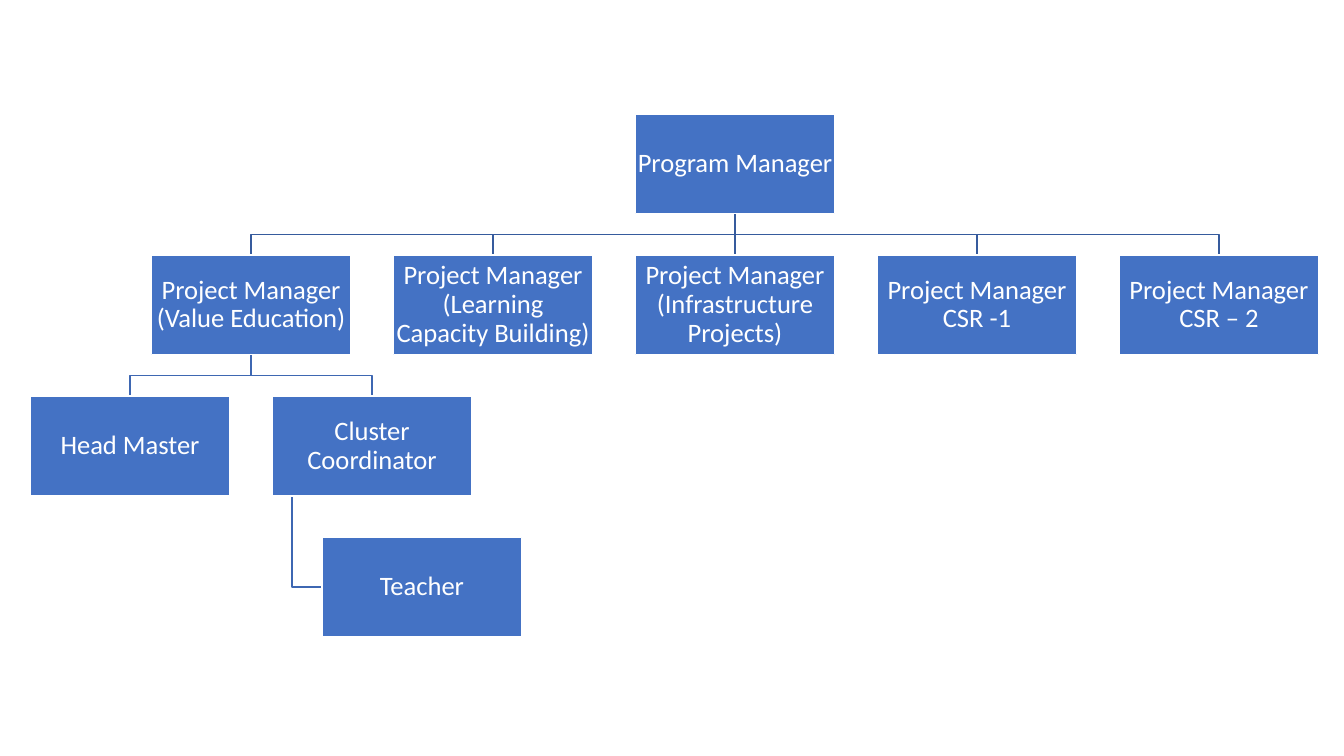
from pptx import Presentation
from pptx.dml.color import RGBColor
from pptx.enum.shapes import MSO_SHAPE
from pptx.enum.text import MSO_ANCHOR, PP_ALIGN
from pptx.util import Inches, Pt

HUES = {"box": "4472C4", "edge": "FFFFFF", "text": "FFFFFF",
        "top": "365B9D", "low": "3E67B2"}
WIDE, HIGH = 1.98, 0.99
LEFT, TOP = 0.3, 1.13
HALF, STEP = 1.2, 1.4


def hue(name):
    return RGBColor.from_string(HUES[name])


def write(frame, text, font="Calibri", size=19, color="text",
          align=PP_ALIGN.CENTER, space=0.9):
    para = frame.paragraphs[0]
    para.alignment = align
    para.line_spacing = space
    run = para.add_run()
    run.text = text
    run.font.name = font
    run.font.size = Pt(size)
    run.font.color.rgb = hue(color)


class Chart:
    def __init__(self, slide, inset=0.01, line=1):
        self.slide = slide
        self.inset = Inches(inset)
        self.line = Pt(line)

    def box(self, spot, text):
        x, y = spot
        shape = self.slide.shapes.add_shape(
            MSO_SHAPE.RECTANGLE, Inches(x), Inches(y), Inches(WIDE), Inches(HIGH))
        shape.shadow.inherit = False
        shape.fill.solid()
        shape.fill.fore_color.rgb = hue("box")
        shape.line.color.rgb = hue("edge")
        shape.line.width = self.line
        frame = shape.text_frame
        frame.word_wrap = True
        frame.vertical_anchor = MSO_ANCHOR.MIDDLE
        frame.margin_left = frame.margin_right = self.inset
        frame.margin_top = frame.margin_bottom = self.inset
        write(frame, text)

    def link(self, points, color):
        start, *rest = [(Inches(x), Inches(y)) for x, y in points]
        form = self.slide.shapes.build_freeform(*start)
        form.add_line_segments(rest, close=False)
        shape = form.convert_to_shape()
        shape.shadow.inherit = False
        shape.fill.background()
        shape.line.color.rgb = hue(color)
        shape.line.width = self.line

    def fork(self, head, kid, color):
        x, y = head[0] + WIDE / 2, head[1] + HIGH
        end, low = kid[0] + WIDE / 2, kid[1]
        mid = (y + low) / 2
        bend = [] if end == x else [(x, mid), (end, mid)]
        self.link([(x, y), *bend, (end, low)], color)

    def hook(self, head, kid, color):
        x, y = head[0] + WIDE / 10, head[1] + HIGH
        mid = kid[1] + HIGH / 2
        self.link([(x, y), (x, mid), (kid[0], mid)], color)


def place(col, row):
    return LEFT + HALF * col, TOP + STEP * row


def main():
    deck = Presentation()
    deck.slide_width, deck.slide_height = Inches(13.33), Inches(7.5)
    chart = Chart(deck.slides.add_slide(deck.slide_layouts[6]))

    head = place(5, 0)
    leads = [place(col, 1) for col in range(1, 10, 2)]
    staff = [place(col, 2) for col in (0, 2)]
    teach = (staff[1][0] + WIDE / 4, place(0, 3)[1])

    for lead in leads:
        chart.fork(head, lead, "top")
    for kid in staff:
        chart.fork(leads[0], kid, "low")
    chart.hook(staff[1], teach, "low")

    names = ["Program Manager",
             "Project Manager (Value Education)",
             "Project Manager (Learning Capacity Building)",
             "Project Manager (Infrastructure Projects)",
             "Project Manager CSR -1",
             "Project Manager CSR – 2",
             "Head Master", "Cluster Coordinator", "Teacher"]
    for spot, name in zip([head, *leads, *staff, teach], names):
        chart.box(spot, name)

    deck.save("out.pptx")


if __name__ == "__main__":
    main()
